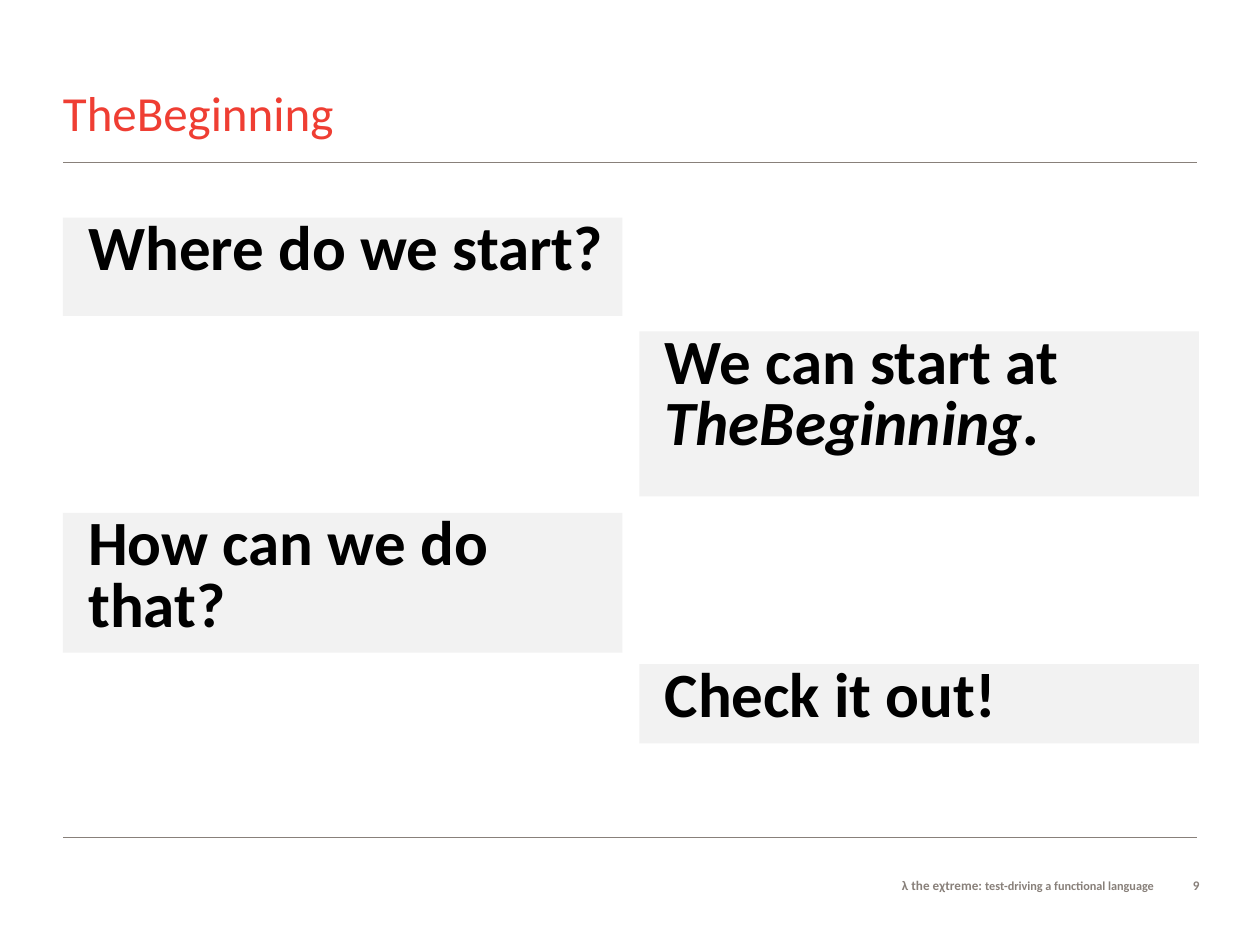
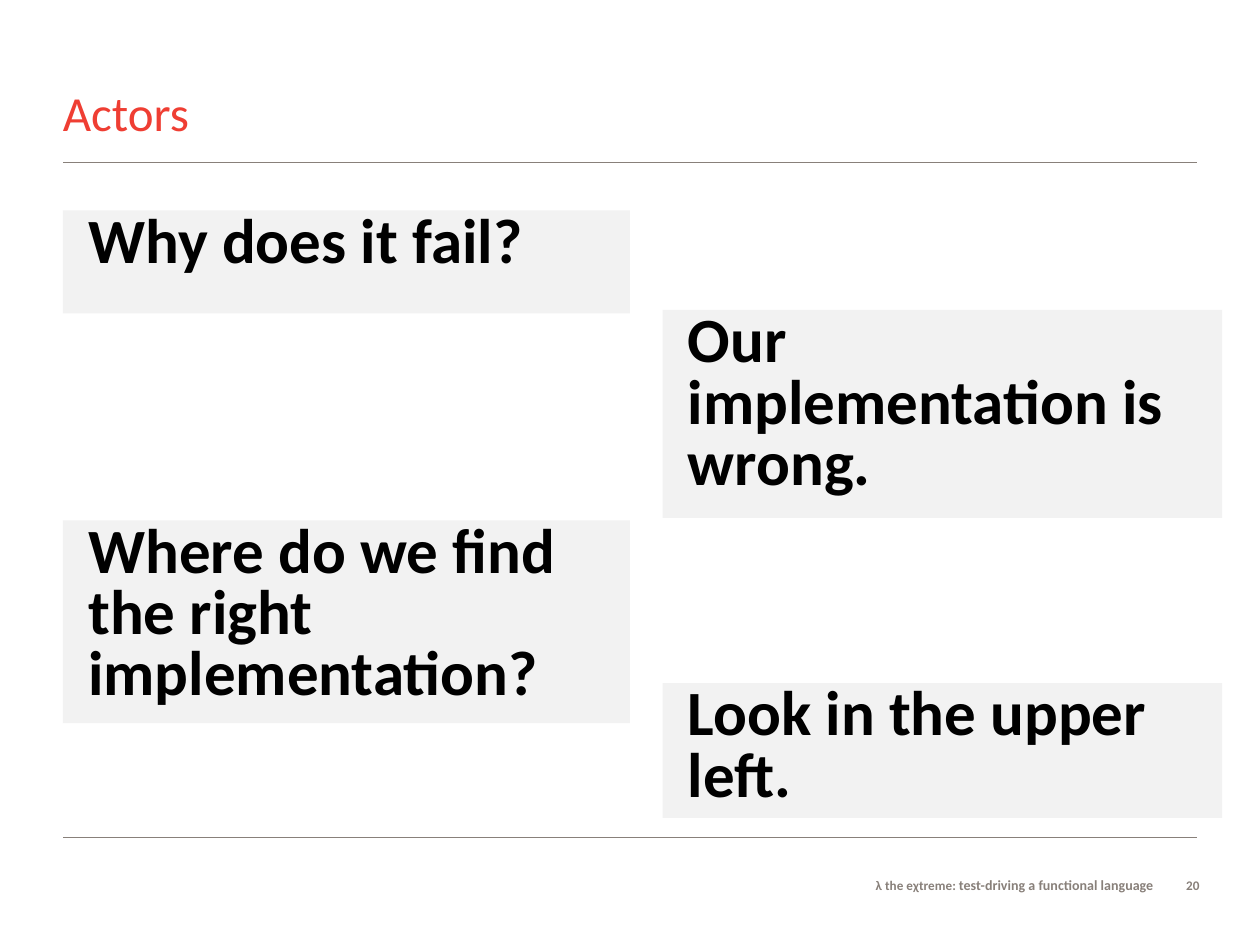
from dataclasses import dataclass

from lxml.etree import SubElement
from pptx import Presentation
from pptx.dml.color import RGBColor
from pptx.enum.shapes import MSO_CONNECTOR, MSO_SHAPE
from pptx.enum.text import MSO_ANCHOR, PP_ALIGN
from pptx.oxml.ns import qn
from pptx.presentation import Presentation as Deck
from pptx.shapes.autoshape import Shape
from pptx.slide import Slide
from pptx.text.text import TextFrame, _Run as Run
from pptx.util import Cm, Pt


@dataclass(frozen=True)
class Theme:
    font: str = "Calibri"
    title_color: RGBColor = RGBColor(0xEF, 0x3E, 0x33)
    muted: RGBColor = RGBColor(0x88, 0x80, 0x7A)
    panel: RGBColor = RGBColor(0xF2, 0xF2, 0xF2)
    ink: RGBColor = RGBColor(0, 0, 0)
    title_size: float = 28
    speech_size: float = 36
    footer_size: float = 7.5


@dataclass(frozen=True)
class Speech:
    top: float
    height: float
    lines: tuple[str, ...]
    italic_line: int | None = None


@dataclass(frozen=True)
class Column:
    left: float
    width: float


@dataclass(frozen=True)
class Dialogue:
    title: str
    number: int
    tagline_size: float
    columns: tuple[Column, Column]
    speeches: tuple[Speech, ...]


THEME = Theme()
MARGIN = 1.27
SLIDE_WIDTH, SLIDE_HEIGHT = 25.4, 19.05
RULE_TOPS = (3.28, 16.89)
FOOTER_TOP, FOOTER_HEIGHT = 17.68, 0.46

DIALOGUES = (
    Dialogue("TheBeginning", 9, 7, (Column(MARGIN, 11.28), Column(12.89, 11.28)), (
        Speech(4.39, 1.98, ("Where do we start?",)),
        Speech(6.68, 3.33, ("We can start at", "TheBeginning."), italic_line=1),
        Speech(10.34, 2.82, ("How can we do", "that?")),
        Speech(13.39, 1.6, ("Check it out!",)),
    )),
    Dialogue("Actors", 20, 8, (Column(MARGIN, 11.43), Column(13.36, 11.28)), (
        Speech(4.24, 2.08, ("Why does it fail?",)),
        Speech(6.25, 4.19, ("Our", "implementation is", "wrong.")),
        Speech(10.49, 4.09, ("Where do we find", "the right", "implementation?")),
        Speech(13.77, 2.72, ("Look in the upper", "left.")),
    )),
)


def style_run(run: Run, size: float, color: RGBColor, bold: bool = False) -> None:
    run.font.name = THEME.font
    run.font.size = Pt(size)
    run.font.bold = bold
    run.font.color.rgb = color


def set_insets(text_frame: TextFrame, left: float, top: float, right: float, bottom: float) -> None:
    text_frame.word_wrap = True
    text_frame.margin_left, text_frame.margin_top = Cm(left), Cm(top)
    text_frame.margin_right, text_frame.margin_bottom = Cm(right), Cm(bottom)


def add_label(slide: Slide, left: float, top: float, width: float, height: float, text: str) -> TextFrame:
    text_frame = slide.shapes.add_textbox(Cm(left), Cm(top), Cm(width), Cm(height)).text_frame
    set_insets(text_frame, 0, 0, 0, 0)
    text_frame.text = text
    return text_frame


def add_rule(slide: Slide, top: float) -> None:
    rule = slide.shapes.add_connector(
        MSO_CONNECTOR.STRAIGHT, Cm(MARGIN), Cm(top), Cm(SLIDE_WIDTH - MARGIN), Cm(top))
    rule.line.color.rgb = THEME.muted
    rule.line.width = Pt(0.5)
    SubElement(rule._element.spPr, qn("a:effectLst"))


def add_title(slide: Slide, title: str) -> None:
    text_frame = add_label(slide, MARGIN, 0.61, 21.08, 2.24, title)
    text_frame.vertical_anchor = MSO_ANCHOR.BOTTOM
    paragraph = text_frame.paragraphs[0]
    paragraph.line_spacing = Pt(30)
    style_run(paragraph.runs[0], THEME.title_size, THEME.title_color)


def add_footer_text(slide: Slide, left: float, width: float, text: str) -> TextFrame:
    text_frame = add_label(slide, left, FOOTER_TOP, width, FOOTER_HEIGHT, text)
    paragraph = text_frame.paragraphs[0]
    paragraph.alignment = PP_ALIGN.RIGHT
    style_run(paragraph.runs[0], THEME.footer_size, THEME.muted, bold=True)
    return text_frame


def add_footer(slide: Slide, number: int, tagline_size: float) -> None:
    add_footer_text(slide, 23.39, 0.79, str(number))
    text_frame = add_footer_text(slide, 15.21, 8.05, "λ the eχtreme: ")
    tagline = text_frame.paragraphs[0].add_run()
    tagline.text = "test-driving a functional language"
    style_run(tagline, tagline_size, THEME.muted, bold=True)


def add_speech(slide: Slide, column: Column, speech: Speech) -> Shape:
    panel = slide.shapes.add_shape(
        MSO_SHAPE.RECTANGLE, Cm(column.left), Cm(speech.top), Cm(column.width), Cm(speech.height))
    panel.shadow.inherit = False
    panel.fill.solid()
    panel.fill.fore_color.rgb = THEME.panel
    panel.line.fill.background()
    text_frame = panel.text_frame
    set_insets(text_frame, 0.51, 0.51, 0.25, 0.51)
    text_frame.vertical_anchor = MSO_ANCHOR.TOP
    text_frame.text = "\n".join(speech.lines)
    for index, paragraph in enumerate(text_frame.paragraphs):
        paragraph.alignment = PP_ALIGN.LEFT
        paragraph.line_spacing = Pt(23)
        paragraph.space_before = Pt(6 if index else 0)
        paragraph.space_after = Pt(6)
        run = paragraph.runs[0]
        style_run(run, THEME.speech_size, THEME.ink, bold=True)
        run.font.italic = index == speech.italic_line
    return panel


def add_dialogue(presentation: Deck, dialogue: Dialogue) -> None:
    slide = presentation.slides.add_slide(presentation.slide_layouts[6])
    for top in RULE_TOPS:
        add_rule(slide, top)
    add_title(slide, dialogue.title)
    for index, speech in enumerate(dialogue.speeches):
        add_speech(slide, dialogue.columns[index % 2], speech)
    add_footer(slide, dialogue.number, dialogue.tagline_size)


def main() -> None:
    presentation = Presentation()
    presentation.slide_width = Cm(SLIDE_WIDTH)
    presentation.slide_height = Cm(SLIDE_HEIGHT)
    for dialogue in DIALOGUES:
        add_dialogue(presentation, dialogue)
    presentation.save("out.pptx")


if __name__ == "__main__":
    main()
